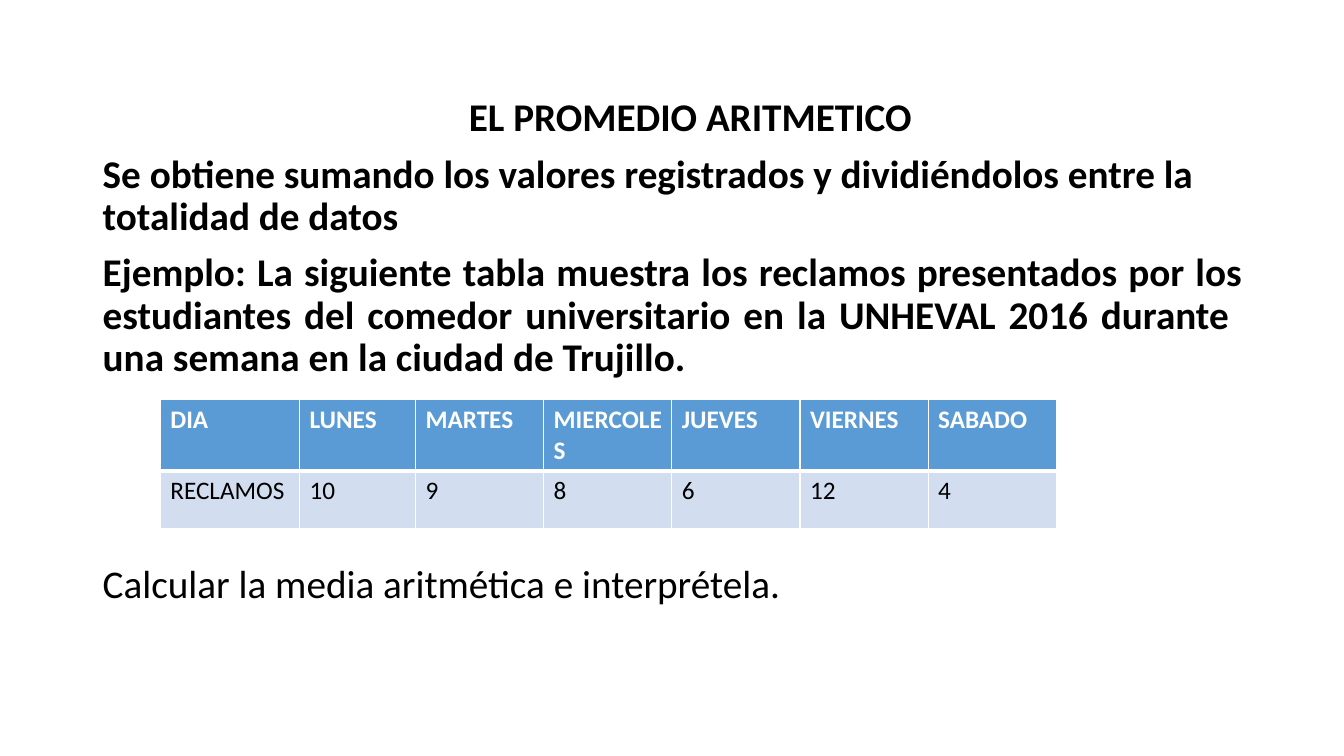
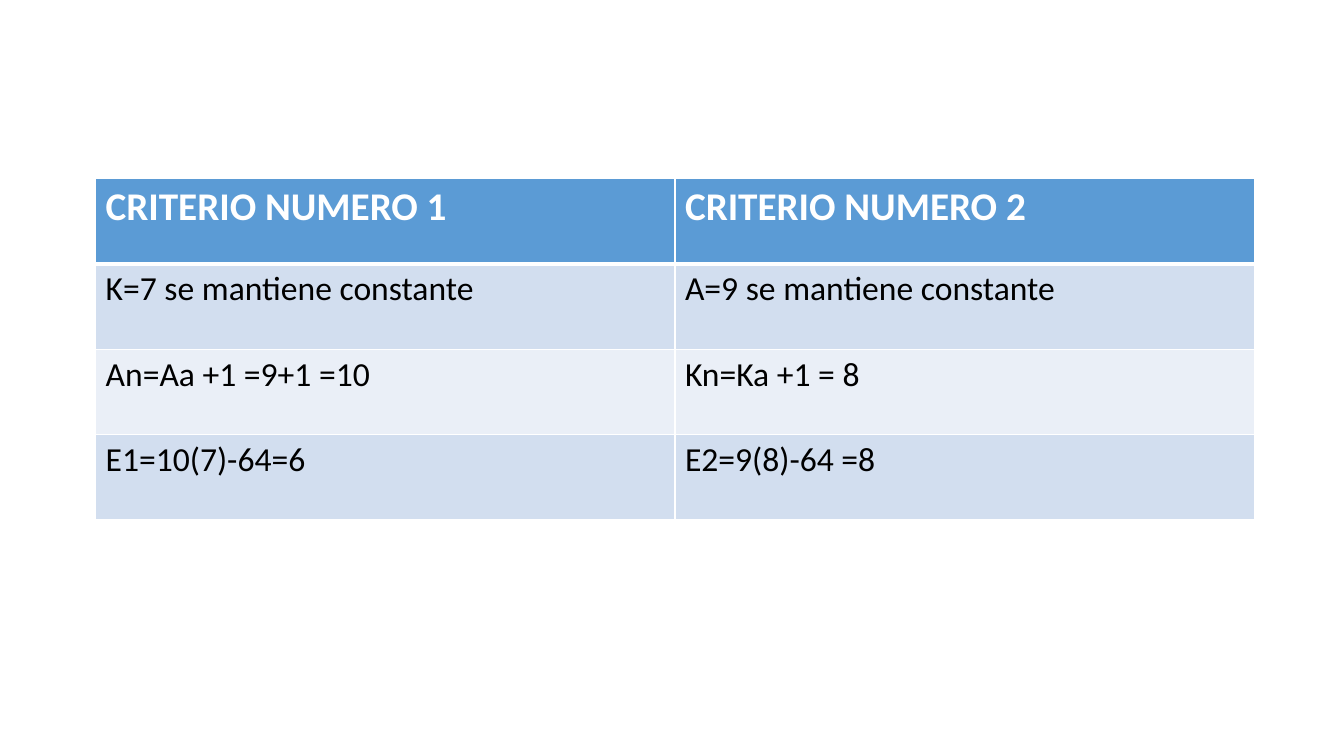
from lxml import etree
from pptx import Presentation
from pptx import util as u
from pptx.dml.color import RGBColor
from pptx.enum import text
from pptx.oxml import ns

FONT = "Calibri"
WHITE, BLACK, HEADER = "FFFFFF", "000000", "5B9BD5"
BANDS = ("D2DEEF", "EAEFF7")
BODY_SIZE = 28
ALIGN = text.PP_ALIGN


def color(value):
    return RGBColor.from_string(value)


def style_paragraph(paragraph, size, fill, bold):
    font = paragraph.font
    font.name, font.size, font.bold = FONT, u.Pt(size), bold
    font.color.rgb = color(fill)


def border_cell(cell, bottom):
    properties = cell._tc.get_or_add_tcPr()
    for side, width in (("L", 1), ("R", 1), ("T", 1), ("B", bottom)):
        line = etree.SubElement(properties, ns.qn(f"a:ln{side}"), w=str(u.Pt(width)))
        fill = etree.SubElement(line, ns.qn("a:solidFill"))
        etree.SubElement(fill, ns.qn("a:srgbClr"), val=WHITE)


def add_data_table(slide, left, top, widths, heights, rows, header_size, body_size):
    frame = slide.shapes.add_table(
        len(rows), len(widths), u.Cm(left), u.Cm(top), u.Cm(sum(widths)), u.Cm(sum(heights))
    )
    table = frame.table
    for column, width in zip(table.columns, widths):
        column.width = u.Cm(width)
    for index, (row, height, values) in enumerate(zip(table.rows, heights, rows)):
        row.height = u.Cm(height)
        header = index == 0
        for cell, value in zip(row.cells, values):
            cell.text = value
            border_cell(cell, 3 if header else 1)
            cell.fill.solid()
            cell.fill.fore_color.rgb = color(HEADER if header else BANDS[(index - 1) % 2])
            style_paragraph(
                cell.text_frame.paragraphs[0],
                header_size if header else body_size,
                WHITE if header else BLACK,
                header,
            )


def add_body(slide, left, top, width, height, items):
    box = slide.shapes.add_textbox(u.Cm(left), u.Cm(top), u.Cm(width), u.Cm(height))
    frame = box.text_frame
    frame.word_wrap = True
    for index, (content, alignment, bold, before, indent) in enumerate(items):
        paragraph = frame.paragraphs[0] if index == 0 else frame.add_paragraph()
        paragraph.text = content
        paragraph.alignment = alignment
        paragraph.line_spacing = 0.9
        paragraph.space_before = u.Pt(before)
        paragraph._p.get_or_add_pPr().set("marL", str(u.Cm(indent)))
        style_paragraph(paragraph, BODY_SIZE, BLACK, bold)


def build_mean_slide(slide):
    add_body(slide, 2.34, 2.34, 29.21, 14.83, [
        ("EL PROMEDIO ARITMETICO", ALIGN.CENTER, True, 10, 0.9),
        ("Se obtiene sumando los valores registrados y dividiéndolos entre la "
         "totalidad de datos", ALIGN.LEFT, True, 10, 0),
        ("Ejemplo: La siguiente tabla muestra los reclamos presentados por los "
         "estudiantes del comedor universitario en la UNHEVAL 2016 durante  una "
         "semana en la ciudad de Trujillo.", ALIGN.JUSTIFY, True, 10, 0),
        ("Calcular la media aritmética e interprétela.", ALIGN.LEFT, False, 132, 0),
    ])
    add_data_table(slide, 4.04, 10.06, [3.51, 2.92] + [3.23] * 5, [1.8, 1.47], [
        ("DIA", "LUNES", "MARTES", "MIERCOLES", "JUEVES", "VIERNES", "SABADO"),
        ("RECLAMOS", "10", "9", "8", "6", "12", "4"),
    ], 18, 18)


def build_criteria_slide(slide):
    add_data_table(slide, 2.41, 4.5, [14.6] * 2, [2.15] * 4, [
        ("CRITERIO NUMERO 1", "CRITERIO NUMERO 2"),
        ("K=7 se mantiene constante", "A=9 se mantiene constante"),
        ("An=Aa +1 =9+1 =10", "Kn=Ka +1 = 8"),
        ("E1=10(7)-64=6", "E2=9(8)-64 =8"),
    ], 28, 24)


def main():
    presentation = Presentation()
    presentation.slide_width, presentation.slide_height = u.Cm(33.87), u.Cm(19.05)
    for build in (build_mean_slide, build_criteria_slide):
        build(presentation.slides.add_slide(presentation.slide_layouts[6]))
    presentation.save("out.pptx")


if __name__ == "__main__":
    main()
